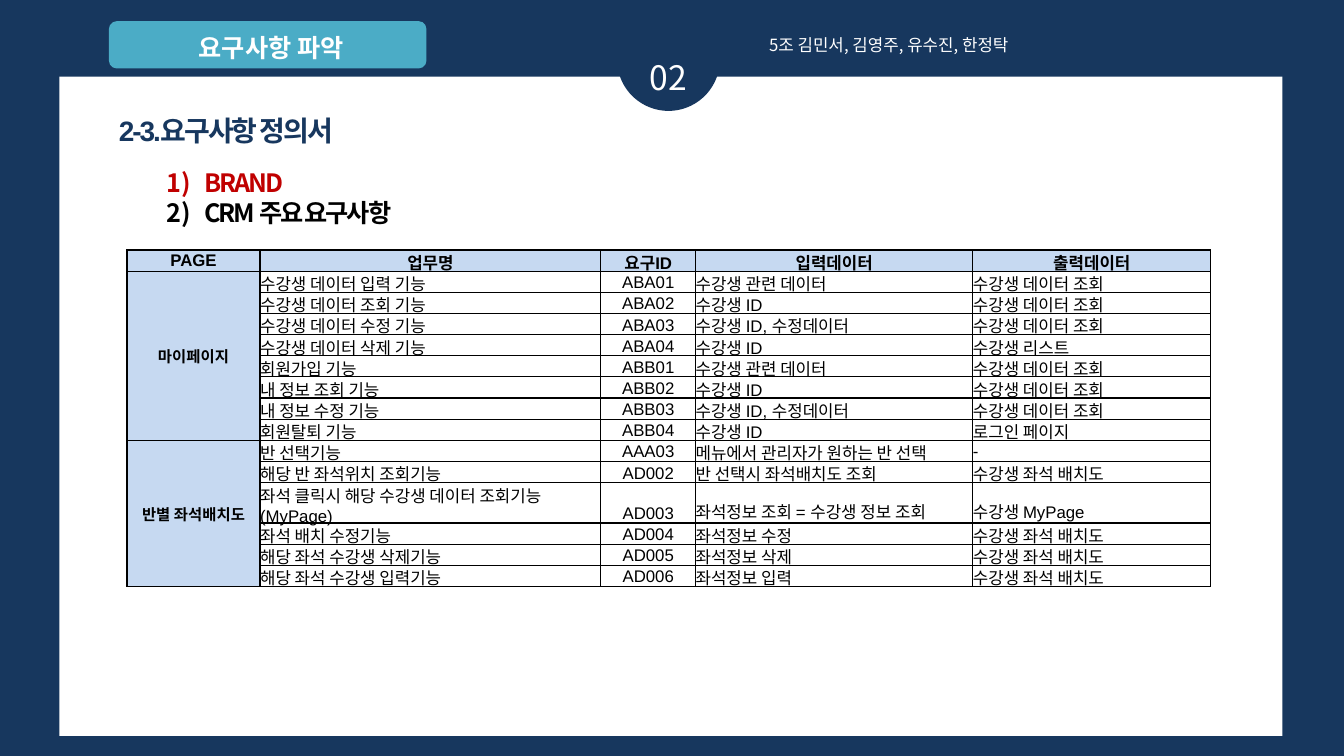
"""Builds the requirements definition slide with its table of functions."""
from dataclasses import dataclass
from typing import Optional

from lxml import etree
from pptx import Presentation
from pptx import util as u
from pptx.dml.color import RGBColor
from pptx.enum import shapes, text
from pptx.oxml import ns

NAVY = RGBColor(0x17, 0x37, 0x5E)
TEAL = RGBColor(0x4B, 0xAC, 0xC6)
PALE_BLUE = RGBColor(0xC6, 0xD9, 0xF1)
RED = RGBColor(0xC0, 0x00, 0x00)
WHITE = RGBColor(0xFF, 0xFF, 0xFF)
BLACK = RGBColor(0x00, 0x00, 0x00)
SANS = "Noto Sans CJK KR"
ARIAL = "Arial"
CENTER = text.PP_ALIGN.CENTER
LEFT = text.PP_ALIGN.LEFT
SHAPE = shapes.MSO_SHAPE


@dataclass
class Style:
    size: float
    color: RGBColor = BLACK
    font: str = SANS
    bold: bool = False
    align: Optional[text.PP_ALIGN] = LEFT
    spacing: int = 0


@dataclass
class Panel:
    kind: SHAPE
    frame: tuple[float, float, float, float]
    color: RGBColor


@dataclass
class Label:
    frame: tuple[float, float, float, float]
    lines: list[tuple[str, Style]]
    numbered: bool = False


PANELS = [
    Panel(SHAPE.RECTANGLE, (0.59, 0.76, 12.13, 6.54), WHITE),
    Panel(SHAPE.OVAL, (6.12, 0.08, 1.02, 1.02), NAVY),
    Panel(SHAPE.ROUNDED_RECTANGLE, (1.08, 0.21, 3.15, 0.47), TEAL),
]
LABELS = [
    Label((6.04, 0.52, 1.18, 0.5), [("02", Style(24, WHITE, align=CENTER))]),
    Label((7.53, 0.3, 3.94, 0.3),
          [("5조 김민서, 김영주, 유수진, 한정탁", Style(12, WHITE, align=text.PP_ALIGN.JUSTIFY))]),
    Label((1.55, 1.61, 10.63, 0.71),
          [("BRAND", Style(18, RED, bold=True, spacing=-150)),
           ("CRM 주요 요구사항", Style(18, bold=True, spacing=-150))], numbered=True),
    Label((1.08, 1.08, 11.26, 0.44),
          [("2-3.요구사항 정의서", Style(20, NAVY, ARIAL, True, spacing=-150))]),
    Label((1.47, 0.27, 2.44, 0.4),
          [("요구사항 파악", Style(18, WHITE, bold=True, align=CENTER))]),
]

COLUMN_WIDTHS = [1.32, 3.38, 0.94, 2.75, 2.36]
ROW_HEIGHT = 0.21
ID_COLUMN = 2
HEADER = ("PAGE", "업무명", "요구ID", "입력데이터", "출력데이터")
HEADER_STYLE = Style(12, font=ARIAL, bold=True, align=CENTER)
BODY_STYLE = Style(12, font=ARIAL)
ID_STYLE = Style(12, font=ARIAL, align=CENTER)
PAGE_STYLE = Style(11, bold=True, align=CENTER)
GROUPS = {
    "마이페이지": [
        ("수강생 데이터 입력 기능", "ABA01", "수강생 관련 데이터", "수강생 데이터 조회"),
        ("수강생 데이터 조회 기능", "ABA02", "수강생 ID", "수강생 데이터 조회"),
        ("수강생 데이터 수정 기능", "ABA03", "수강생 ID, 수정데이터", "수강생 데이터 조회"),
        ("수강생 데이터 삭제 기능", "ABA04", "수강생 ID", "수강생 리스트"),
        ("회원가입 기능", "ABB01", "수강생 관련 데이터", "수강생 데이터 조회"),
        ("내 정보 조회 기능", "ABB02", "수강생 ID", "수강생 데이터 조회"),
        ("내 정보 수정 기능", "ABB03", "수강생 ID, 수정데이터", "수강생 데이터 조회"),
        ("회원탈퇴 기능", "ABB04", "수강생 ID", "로그인 페이지"),
    ],
    "반별 좌석배치도": [
        ("반 선택기능", "AAA03", "메뉴에서 관리자가 원하는 반 선택", "-"),
        ("해당 반 좌석위치 조회기능", "AD002", "반 선택시 좌석배치도 조회", "수강생 좌석 배치도"),
        ("좌석 클릭시 해당 수강생 데이터 조회기능(MyPage)", "AD003",
         "좌석정보 조회 = 수강생 정보 조회", "수강생 MyPage"),
        ("좌석 배치 수정기능", "AD004", "좌석정보 수정", "수강생 좌석 배치도"),
        ("해당 좌석 수강생 삭제기능", "AD005", "좌석정보 삭제", "수강생 좌석 배치도"),
        ("해당 좌석 수강생 입력기능", "AD006", "좌석정보 입력", "수강생 좌석 배치도"),
    ],
}


def write(para, words: str, style: Style) -> None:
    """Put styled words into a paragraph."""
    para.text = words
    para.alignment = style.align
    font = para.font
    font.size = u.Pt(style.size)
    font.bold = style.bold
    font.name = style.font
    font.color.rgb = style.color
    properties = para._p.pPr.find(ns.qn("a:defRPr"))
    etree.SubElement(properties, ns.qn("a:ea"), typeface=SANS)
    if style.spacing:
        properties.set("spc", str(style.spacing))


def number(para) -> None:
    """Give a paragraph a hanging automatic number."""
    properties = para._p.get_or_add_pPr()
    properties.set("marL", str(u.Inches(0.38)))
    properties.set("indent", str(-u.Inches(0.38)))
    properties.insert(0, etree.Element(ns.qn("a:buAutoNum"), type="arabicParenR"))


def draw_panel(page, panel: Panel) -> None:
    """Draw a plain filled shape."""
    shape = page.shapes.add_shape(panel.kind, *map(u.Inches, panel.frame))
    shape.shadow.inherit = False
    shape.fill.solid()
    shape.fill.fore_color.rgb = panel.color
    shape.line.fill.background()


def draw_label(page, label: Label) -> None:
    """Draw a wrapped text box."""
    frame = page.shapes.add_textbox(*map(u.Inches, label.frame)).text_frame
    frame.word_wrap = True
    for index, (words, style) in enumerate(label.lines):
        para = frame.add_paragraph() if index else frame.paragraphs[0]
        write(para, words, style)
        if label.numbered:
            number(para)


def outline(cell) -> None:
    """Rule all four sides of a cell in black."""
    properties = cell._tc.get_or_add_tcPr()
    for index, side in enumerate(("lnL", "lnR", "lnT", "lnB")):
        line = etree.Element(ns.qn(f"a:{side}"), w=str(u.Pt(1)))
        fill = etree.SubElement(line, ns.qn("a:solidFill"))
        etree.SubElement(fill, ns.qn("a:srgbClr"), val=str(BLACK))
        properties.insert(index, line)


def fill_cell(cell, words: str, style: Style, shaded: bool) -> None:
    """Write one cell, shading and centring headings."""
    write(cell.text_frame.paragraphs[0], words, style)
    cell.vertical_anchor = text.MSO_ANCHOR.MIDDLE if shaded else text.MSO_ANCHOR.BOTTOM
    if shaded:
        cell.fill.solid()
        cell.fill.fore_color.rgb = PALE_BLUE
    else:
        cell.fill.background()


def draw_table(page) -> None:
    """Draw the requirements table with merged page names."""
    row_count = 1 + sum(map(len, GROUPS.values()))
    table = page.shapes.add_table(
        row_count, len(COLUMN_WIDTHS), u.Inches(1.26), u.Inches(2.48),
        u.Inches(sum(COLUMN_WIDTHS)), u.Inches(ROW_HEIGHT * row_count)).table
    table.first_row = table.horz_banding = False
    for column, width in zip(table.columns, COLUMN_WIDTHS):
        column.width = u.Inches(width)
    for row in table.rows:
        row.height = u.Inches(ROW_HEIGHT)
    for cell in table.iter_cells():
        cell.margin_left = cell.margin_right = cell.margin_top = cell.margin_bottom = 0
    for column, words in enumerate(HEADER):
        fill_cell(table.cell(0, column), words, HEADER_STYLE, True)
    top = 1
    for name, entries in GROUPS.items():
        table.cell(top, 0).merge(table.cell(top + len(entries) - 1, 0))
        fill_cell(table.cell(top, 0), name, PAGE_STYLE, True)
        for row, entry in enumerate(entries, top):
            for column, words in enumerate(entry, 1):
                style = ID_STYLE if column == ID_COLUMN else BODY_STYLE
                fill_cell(table.cell(row, column), words, style, False)
        top += len(entries)
    for cell in table.iter_cells():
        outline(cell)


def main() -> None:
    """Build and save the deck."""
    deck = Presentation()
    deck.slide_width, deck.slide_height = u.Inches(13.33), u.Inches(7.5)
    page = deck.slides.add_slide(deck.slide_layouts[6])
    page.background.fill.solid()
    page.background.fill.fore_color.rgb = NAVY
    for panel in PANELS:
        draw_panel(page, panel)
    for label in LABELS:
        draw_label(page, label)
    draw_table(page)
    deck.save("out.pptx")


if __name__ == "__main__":
    main()
